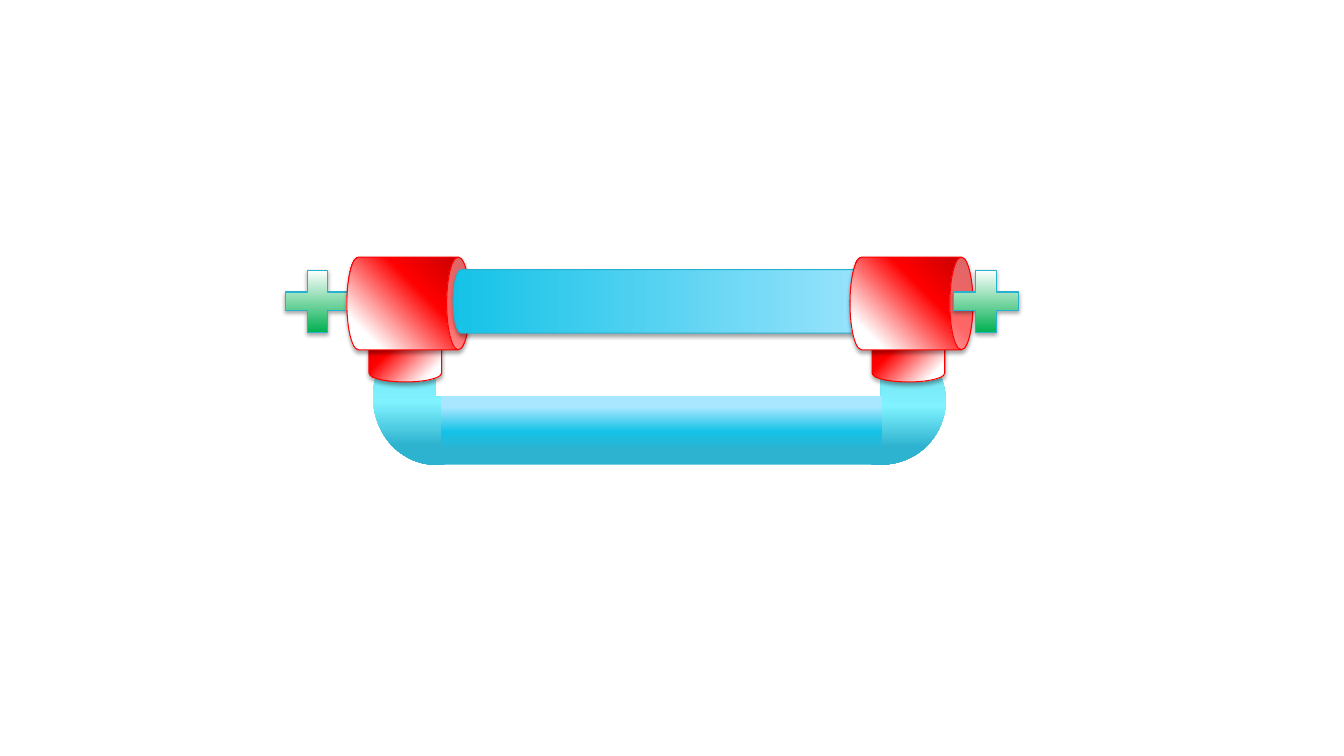
"""Build a slide showing a pipe loop with two red end fittings and plus signs."""
from pptx import Presentation
from pptx.dml.color import RGBColor
from pptx.enum.shapes import MSO_SHAPE
from pptx.oxml import parse_xml
from pptx.oxml.ns import nsdecls
from pptx.util import Inches, Pt

COLORS = {
    "green": "00B050", "white": "FFFFFF", "black": "000000",
    "dark_red": "C00000", "red": "FF0000", "outline": "28B1CE",
    "bend_top": "66D0DD", "bend_mid": "80F2FF", "deep": "2DB2CF",
    "blue": "15C2E7", "pale": "A8E7FF",
}
PLUS = [(0, "green"), (100, "white")]
BEND = [(0, "bend_top"), (54, "bend_mid"), (86, "deep")]
NECK = [(0, "dark_red"), (42, "red"), (87, "white")]
SLEEVE = [(0, "dark_red"), (38, "red"), (84, "white")]
LOWER = [(21, "deep"), (48, "blue"), (84, "pale")]
UPPER = [(0, "blue"), (100, "pale")]

prs = Presentation()
prs.slide_width, prs.slide_height = Inches(13.33), Inches(7.5)
slide = prs.slides.add_slide(prs.slide_layouts[6])


def add_part(kind, box, stops, angle, line=None, rotation=0, adj=None):
    """Add a gradient shape; outlined parts also get a soft shadow."""
    s = slide.shapes.add_shape(kind, *[Inches(v) for v in box])
    s.rotation = rotation
    if adj is not None:
        s.adjustments[0] = adj
    gs = "".join(
        f'<a:gs pos="{pos * 1000}"><a:srgbClr val="{COLORS[name]}"/></a:gs>'
        for pos, name in stops)
    s._element.spPr[1].addnext(parse_xml(
        f'<a:gradFill {nsdecls("a")} rotWithShape="1"><a:gsLst>{gs}</a:gsLst>'
        f'<a:lin ang="{angle * 60000}" scaled="0"/></a:gradFill>'))
    s.shadow.inherit = False
    if line is None:
        s.line.fill.background()
        return s
    s.line.color.rgb = RGBColor.from_string(COLORS[line])
    s.line.width = Pt(0.75)
    s._element.spPr[-1].append(parse_xml(
        f'<a:outerShdw {nsdecls("a")} blurRad="{Pt(3.1)}" dist="{Pt(1.8)}" '
        f'dir="5400000" rotWithShape="0"><a:srgbClr val="{COLORS["black"]}">'
        '<a:alpha val="35000"/></a:srgbClr></a:outerShdw>'))
    return s


def add_fitting(x):
    """Add a red neck with the sleeve lying over it."""
    add_part(MSO_SHAPE.CAN, (x, 3.08, 0.72, 0.71), NECK, 45, "red")
    add_part(MSO_SHAPE.CAN, (x - 0.07, 2.4, 0.92, 1.22), SLEEVE, 45, "red", 90)


add_part(MSO_SHAPE.CROSS, (2.83, 2.68, 0.64, 0.62), PLUS, 270, "outline", adj=0.35)
add_part(MSO_SHAPE.PIE, (3.7, 3.26, 1.24, 1.35), BEND, 90)
add_fitting(3.66)
right_bend = add_part(MSO_SHAPE.PIE, (8.09, 3.34, 1.29, 1.27), BEND, 90)
right_bend._element.spPr[0].set("flipH", "1")
add_part(MSO_SHAPE.CAN, (6.22, 2.08, 0.68, 4.38), LOWER, 180, rotation=90, adj=0)
add_part(MSO_SHAPE.CAN, (6.45, 0.72, 0.63, 4.54), UPPER, 270, "outline", 90)
add_fitting(8.65)
add_part(MSO_SHAPE.CROSS, (9.46, 2.68, 0.64, 0.62), PLUS, 270, "outline", adj=0.35)

prs.save("out.pptx")
